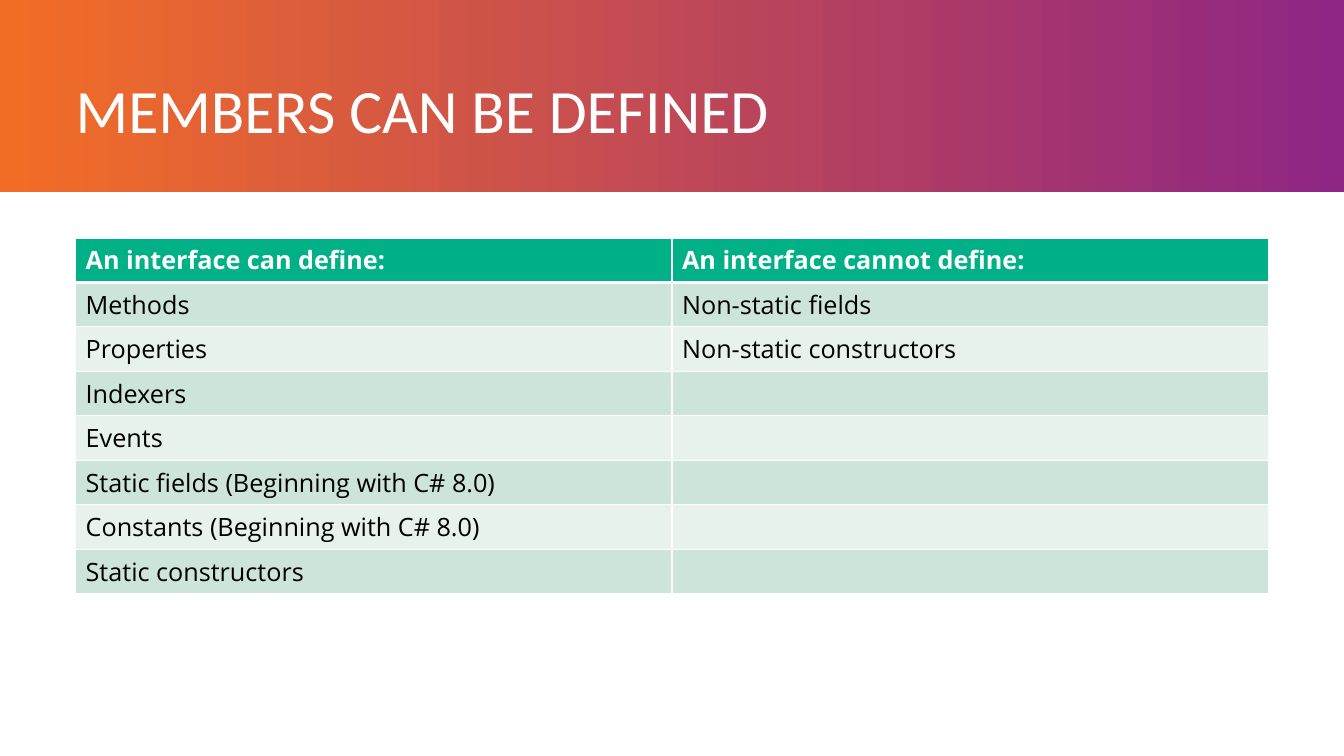
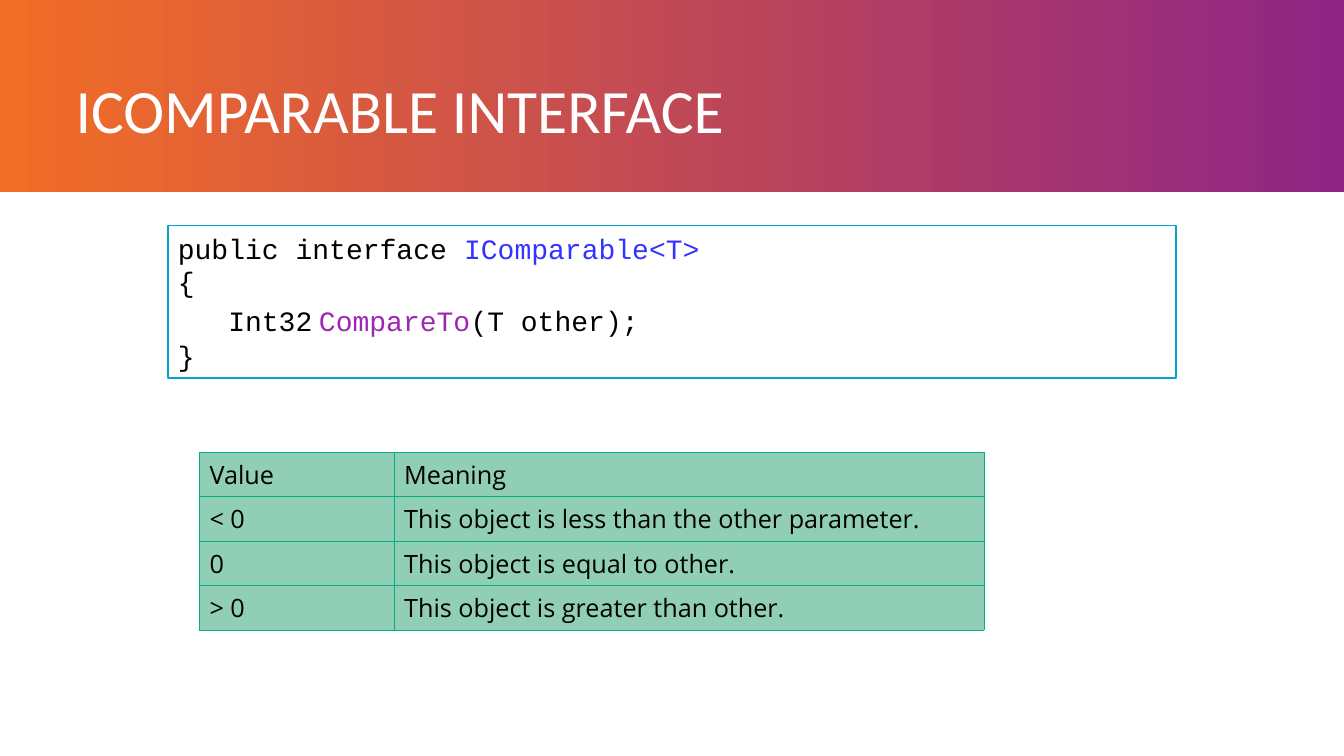
from lxml import etree
from pptx import Presentation
from pptx.dml.color import RGBColor
from pptx.enum.shapes import MSO_SHAPE
from pptx.enum.text import MSO_ANCHOR, MSO_AUTO_SIZE, PP_ALIGN
from pptx.oxml.ns import qn
from pptx.util import Pt

RECTANGLE = MSO_SHAPE.RECTANGLE
LEFT = PP_ALIGN.LEFT
MIDDLE = MSO_ANCHOR.MIDDLE
NO_AUTOFIT = MSO_AUTO_SIZE.NONE

WIDTH, HEIGHT = 960, 540
MARGIN = 54
BAND_HEIGHT = 137.25
TITLE_ONLY = 5
TITLE_FONT, BODY_FONT, CODE_FONT = "Calibri", "Open Sans", "Courier New"

COLORS = {
    "purple": "8F2585",
    "orange": "F26D26",
    "white": "FFFFFF",
    "black": "000000",
    "green": "00B188",
    "medium_green": "90CEB5",
    "light_green": "CCE4DA",
    "pale_green": "E7F2ED",
    "cyan": "00A6CE",
    "type_blue": "3333FF",
    "method_violet": "9F26B5",
}


def rgb(name):
    return RGBColor.from_string(COLORS[name])


def set_font(font, name, size, color, bold=False):
    font.name = name
    font.size = Pt(size)
    font.color.rgb = rgb(color)
    font.bold = bold


def set_border(cell, side, color, width):
    """Draw one cell edge; side is L, R, T or B. Call in that order, before the fill."""
    properties = cell._tc.get_or_add_tcPr()
    line = etree.SubElement(properties, qn(f"a:ln{side}"), w=str(Pt(width)))
    fill = etree.SubElement(line, qn("a:solidFill"))
    etree.SubElement(fill, qn("a:srgbClr"), val=COLORS[color])


class Deck:
    def __init__(self):
        self.presentation = Presentation()
        self.presentation.slide_width = Pt(WIDTH)
        self.presentation.slide_height = Pt(HEIGHT)
        self.slide = None
        self.set_background()

    def set_background(self):
        fill = self.presentation.slide_master.background.fill
        fill.gradient()
        fill.gradient_angle = 180
        for stop, color, position in zip(fill.gradient_stops, ("purple", "orange"), (0, 1)):
            stop.color.rgb = rgb(color)
            stop.position = position

    def add_slide(self, title):
        layout = self.presentation.slide_layouts[TITLE_ONLY]
        self.slide = self.presentation.slides.add_slide(layout)
        self.add_rectangle(0, BAND_HEIGHT, WIDTH, HEIGHT - BAND_HEIGHT)
        self.set_title(title)

    def set_title(self, text):
        shape = self.slide.shapes.title
        shape.left, shape.top = Pt(MARGIN), Pt(MARGIN)
        shape.width, shape.height = Pt(WIDTH - 2 * MARGIN), Pt(54)
        frame = shape.text_frame
        frame.text = text
        frame.margin_left = 0
        frame.auto_size = NO_AUTOFIT
        frame.vertical_anchor = MIDDLE
        paragraph = frame.paragraphs[0]
        paragraph.alignment = LEFT
        paragraph.line_spacing = 0.9
        set_font(paragraph.font, TITLE_FONT, 44, "white")

    def add_rectangle(self, left, top, width, height, line_color=None):
        shape = self.slide.shapes.add_shape(
            RECTANGLE, Pt(left), Pt(top), Pt(width), Pt(height))
        shape.shadow.inherit = False
        shape.fill.solid()
        shape.fill.fore_color.rgb = rgb("white")
        if line_color:
            shape.line.color.rgb = rgb(line_color)
            shape.line.width = Pt(1)
        else:
            shape.line.fill.background()
        return shape

    def add_code(self, left, top, width, height, lines):
        """Add a code box; each line is a list of (text, font, size, color) runs."""
        frame = self.add_rectangle(left, top, width, height, "cyan").text_frame
        frame.vertical_anchor = MIDDLE
        for index, runs in enumerate(lines):
            paragraph = frame.add_paragraph() if index else frame.paragraphs[0]
            paragraph.alignment = LEFT
            for text, *style in runs:
                run = paragraph.add_run()
                run.text = text
                set_font(run.font, *style)

    def add_table(self, left, top, widths, row_height, rows, fills, border, header=None):
        """Add a table; fills alternate down the body, border is (color, width)."""
        frame = self.slide.shapes.add_table(
            len(rows), len(widths), Pt(left), Pt(top),
            Pt(sum(widths)), Pt(row_height * len(rows)))
        table = frame.table
        table.first_row = header is not None
        table.horz_banding = False
        for column, width in zip(table.columns, widths):
            column.width = Pt(width)
        for row_index, texts in enumerate(rows):
            is_header = header is not None and row_index == 0
            fill = header if is_header else fills[(row_index - 1) % len(fills)]
            for column_index, text in enumerate(texts):
                cell = table.cell(row_index, column_index)
                cell.text = text
                cell.vertical_anchor = MIDDLE
                color, width = border
                for side in "LRT":
                    thick = header is not None and row_index == 1 and side == "T"
                    set_border(cell, side, color, 3 if thick else width)
                set_border(cell, "B", color, 3 if is_header else width)
                cell.fill.solid()
                cell.fill.fore_color.rgb = rgb(fill)
                set_font(cell.text_frame.paragraphs[0].font, BODY_FONT, 18,
                         "white" if is_header else "black", is_header)


def add_members_slide(deck):
    deck.add_slide("MEMBERS CAN BE DEFINED")
    rows = [
        ("An interface can define:", "An interface cannot define:"),
        ("Methods", "Non-static fields"),
        ("Properties", "Non-static constructors"),
        ("Indexers", ""),
        ("Events", ""),
        ("Static fields (Beginning with C# 8.0)", ""),
        ("Constants (Beginning with C# 8.0)", ""),
        ("Static constructors", ""),
    ]
    deck.add_table(MARGIN, 170, (426, 426), 31.75, rows,
                   ("light_green", "pale_green"), ("white", 1), header="green")


def add_comparable_slide(deck):
    deck.add_slide("ICOMPARABLE INTERFACE")
    code = (CODE_FONT, 20, "black")
    deck.add_code(120, 161, 720, 109, [
        [("public interface ", *code), ("IComparable<T>", CODE_FONT, 20, "type_blue")],
        [("{", *code)],
        [("\t", CODE_FONT, 24, "black"), ("Int32", *code), (" ", BODY_FONT, 18, "black"),
         ("CompareTo", CODE_FONT, 20, "method_violet"), ("(T other);", *code)],
        [("}", *code)],
    ])
    rows = [
        ("Value", "Meaning"),
        ("< 0", "This object is less than the other parameter."),
        ("0", "This object is equal to other."),
        ("> 0", "This object is greater than other."),
    ]
    deck.add_table(142.5, 323, (139, 421.5), 31.75, rows,
                   ("medium_green",), ("green", 0.5))


def main():
    deck = Deck()
    add_members_slide(deck)
    add_comparable_slide(deck)
    deck.presentation.save("out.pptx")


if __name__ == "__main__":
    main()
